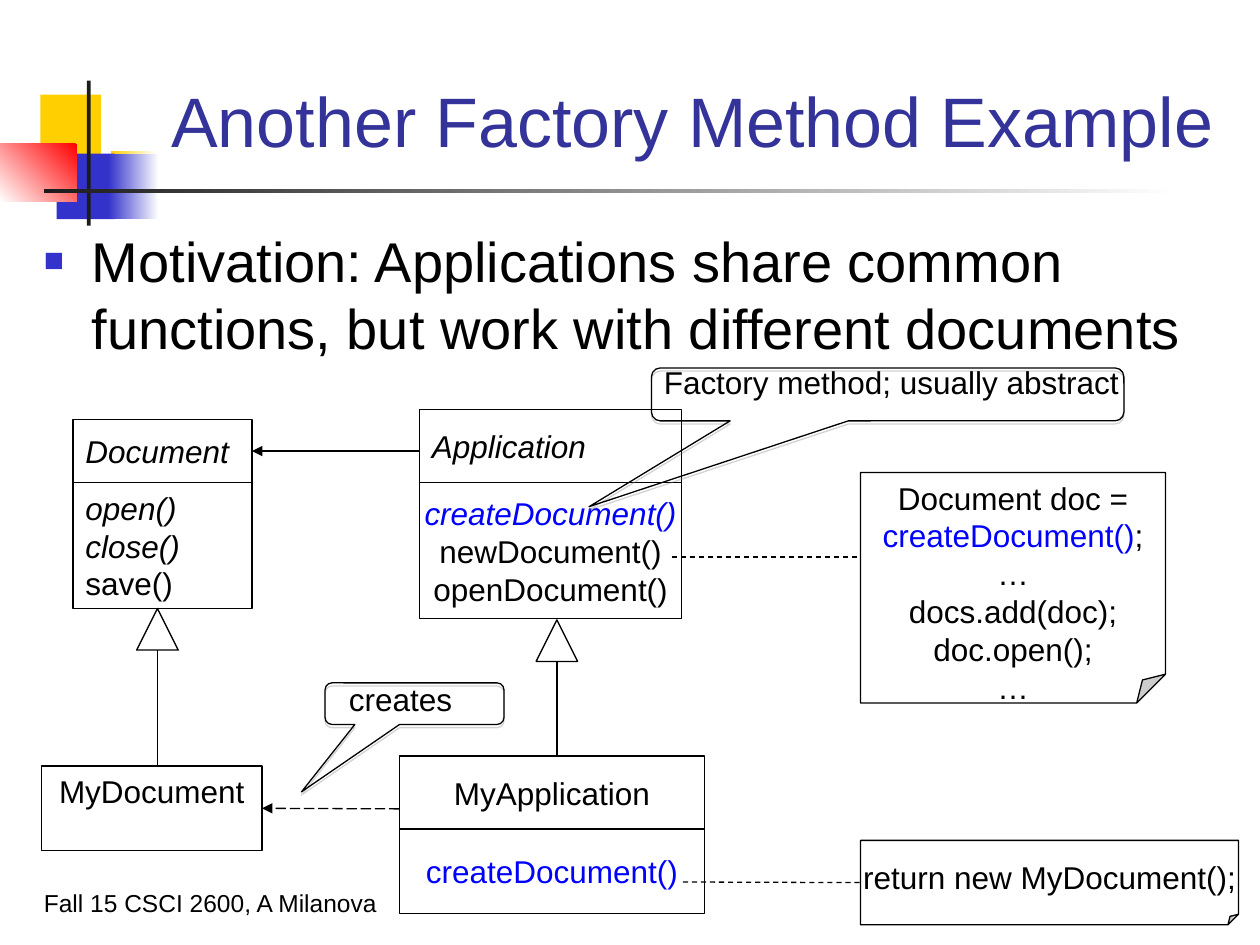
from dataclasses import dataclass

from lxml.etree import SubElement
from pptx import Presentation
from pptx.dml.color import RGBColor
from pptx.enum.dml import MSO_LINE
from pptx.enum.shapes import MSO_CONNECTOR, MSO_SHAPE
from pptx.enum.text import MSO_ANCHOR, MSO_AUTO_SIZE, PP_ALIGN
from pptx.oxml.ns import qn
from pptx.util import Inches, Pt


@dataclass(frozen=True)
class Theme:
    font: str = "Arial"
    title_size: int = 40
    body_size: int = 32
    label_size: int = 18
    footer_size: int = 14
    line_width: float = 0.75
    title: str = "333399"
    ink: str = "000000"
    paper: str = "FFFFFF"
    accent: str = "0000FF"
    blue: str = "3333CC"
    yellow: str = "FFCF01"
    red: str = "FF0000"
    rule: str = "1C1C1C"
    shadow: str = "808080"


THEME = Theme()


def rgb(value):
    return RGBColor.from_string(value)


def element(parent, tag, **attributes):
    return SubElement(parent, qn(tag), attributes)


def apply(target, formats):
    for name, value in formats.items():
        setattr(target, name, value)


def write(frame, lines, size=THEME.label_size, align=PP_ALIGN.LEFT, **formats):
    """Each line is a list of (text, colour, italic) spans."""
    apply(frame, {"word_wrap": False, "auto_size": MSO_AUTO_SIZE.NONE, **formats})
    for index, spans in enumerate(lines):
        para = frame.paragraphs[0] if index == 0 else frame.add_paragraph()
        para.alignment = align
        for text, colour, italic in spans:
            span = para.add_run()
            span.text = text
            apply(span.font, {"name": THEME.font, "size": Pt(size), "italic": italic})
            span.font.color.rgb = rgb(colour)


def plain(text, colour=THEME.ink, italic=False):
    return [(text, colour, italic)]


def add_label(page, box, text, **formats):
    label = page.shapes.add_textbox(*map(Inches, box))
    write(label.text_frame, [plain(text)], **formats)
    return label


def add_outline(page, kind, box, fill=THEME.paper):
    shape = page.shapes.add_shape(kind, *map(Inches, box))
    shape.shadow.inherit = False
    if fill:
        shape.fill.solid()
        shape.fill.fore_color.rgb = rgb(fill)
    else:
        shape.fill.background()
    shape.line.color.rgb = rgb(THEME.ink)
    shape.line.width = Pt(THEME.line_width)
    return shape


def adjust(shape, **guides):
    values = shape._element.spPr.find(".//" + qn("a:avLst"))
    values.clear()
    for name, value in guides.items():
        element(values, "a:gd", name=name, fmla=f"val {value}")


def add_compartment(page, box, lines, kind=MSO_SHAPE.RECTANGLE,
                    align=PP_ALIGN.CENTER, anchor=MSO_ANCHOR.MIDDLE):
    shape = add_outline(page, kind, box)
    write(shape.text_frame, lines, align=align, vertical_anchor=anchor)
    return shape


def add_note(page, box, lines, anchor=MSO_ANCHOR.MIDDLE):
    note = add_compartment(page, box, lines, MSO_SHAPE.FOLDED_CORNER, anchor=anchor)
    adjust(note, adj=12500)
    return note


def add_class(page, box, name_height, name, methods,
              name_align=PP_ALIGN.LEFT, methods_align=PP_ALIGN.CENTER):
    """A class box: name above, methods below; returns the name part."""
    left, top, width, height = box
    name_part = add_compartment(page, (left, top, width, name_height), [name],
                                align=name_align)
    add_compartment(page, (left, top + name_height, width, height - name_height),
                    methods, align=methods_align)
    return name_part


def add_line(page, start, end, dash=None, arrow=False, target=None, side=None):
    line = page.shapes.add_connector(MSO_CONNECTOR.STRAIGHT, *map(Inches, start + end))
    if target is not None:
        line.end_connect(target, side)
    line.line.color.rgb = rgb(THEME.ink)
    line.line.width = Pt(THEME.line_width)
    if dash:
        line.line.dash_style = dash
    if arrow:
        element(line.line._get_or_add_ln(), "a:tailEnd", type="triangle")
    element(line._element.spPr, "a:effectLst")


def add_inheritance(page, centre, top, bottom):
    size = 0.33
    add_line(page, (centre, top), (centre, bottom))
    add_outline(page, MSO_SHAPE.ISOSCELES_TRIANGLE, (centre - size / 2, top, size, size))


def add_callout(page, box, label_box, text):
    callout = add_outline(page, MSO_SHAPE.ROUNDED_RECTANGULAR_CALLOUT, box, fill=None)
    adjust(callout, adj1=-63200, adj2=212200, adj3=16700)
    effects = callout._element.spPr.find(qn("a:effectLst"))
    shadow = element(effects, "a:outerShdw", blurRad="0", dist=str(Pt(1.8)),
                     dir="5400000", rotWithShape="0")
    element(element(shadow, "a:srgbClr", val=THEME.shadow), "a:alpha", val="35000")
    add_label(page, label_box, text)


def add_ornament(page, box):
    """Coloured blocks and the fading rule beside the title."""
    left, top = box[:2]
    blocks = [  # offset and size, colours, angle
        ((0.32, 0.11, 0.48, 0.52), [THEME.yellow], 0),
        ((0.88, 0.56, 0.36, 0.52), [THEME.paper, THEME.yellow], 180),
        ((0.45, 0.58, 0.46, 0.52), [THEME.blue], 0),
        ((0.86, 0.58, 0.4, 0.52), [THEME.paper, THEME.blue], 180),
        ((0, 0.5, 0.61, 0.46), [THEME.red, THEME.paper], 225),
        ((0.69, 0, 0.03, 1.15), [THEME.rule], 0),
        ((0.35, 0.86, 9, 0.03), [THEME.paper, THEME.rule], 180),
    ]
    for (x, y, *size), colours, angle in blocks:
        block = add_outline(page, MSO_SHAPE.RECTANGLE, (left + x, top + y, *size), colours[0])
        block.line.fill.background()
        if len(colours) > 1:
            block.fill.gradient()
            block.fill.gradient_angle = angle
            for stop, colour, position in zip(block.fill.gradient_stops, colours, (0, 1)):
                stop.color.rgb = rgb(colour)
                stop.position = position


def add_title(page, box, text):
    title = page.shapes.title
    apply(title, dict(zip(("left", "top", "width", "height"), map(Inches, box))))
    write(title.text_frame, [plain(text, THEME.title)], THEME.title_size,
          word_wrap=True, vertical_anchor=MSO_ANCHOR.BOTTOM)


def add_motivation(page, box, text):
    body = add_label(page, box, text, size=THEME.body_size, word_wrap=True)
    properties = body.text_frame.paragraphs[0]._p.get_or_add_pPr()
    properties.set("marL", str(Inches(0.38)))
    properties.set("indent", str(Inches(-0.38)))
    element(element(properties, "a:buClr"), "a:srgbClr", val=THEME.blue)
    element(properties, "a:buSzPct", val="60000")
    element(properties, "a:buFont", typeface=THEME.font)
    element(properties, "a:buChar", char="■")


def add_diagram(page, box):
    """Class diagram with notes and callouts."""
    left, top = box[:2]

    def place(x, y, *size):
        return (left + x, top + y) + size

    # Classes
    create = "createDocument()"
    document = add_class(
        page, place(0.25, 0.5, 1.42, 1.5), 0.5, plain("Document", italic=True),
        [plain("open()", italic=True), plain("close()", italic=True), plain("save()")],
        methods_align=PP_ALIGN.LEFT)
    add_class(page, place(3, 0.42, 2.08, 1.66), 0.58, plain("Application", italic=True),
              [plain(create, THEME.accent, True), plain("newDocument()"), plain("openDocument()")])
    my_document = add_compartment(page, place(0, 3.25, 1.75, 0.67), [plain("MyDocument")],
                                  anchor=MSO_ANCHOR.TOP)
    add_class(page, place(2.84, 3.17, 2.42, 1.25), 0.58, plain("MyApplication"),
              [plain(create, THEME.accent)], name_align=PP_ALIGN.CENTER)
    # Notes
    code = [plain("Document doc ="), plain(create, THEME.accent) + plain(";"),
            *map(plain, ("…", "docs.add(doc);", "doc.open();", "…"))]
    add_note(page, place(6.5, 0.92, 2.42, 1.83), code, MSO_ANCHOR.TOP)
    result = add_note(page, place(6.5, 3.84, 3, 0.67), [plain("return new MyDocument();")])
    # Relations
    add_inheritance(page, left + 0.92, top + 2, top + 3.25)
    add_inheritance(page, left + 4.09, top + 2.09, top + 3.17)
    add_line(page, place(5.09, 4.17), place(6.5, 4.17), MSO_LINE.DASH, target=result, side=1)
    add_line(page, place(5, 1.59), place(6.5, 1.59), MSO_LINE.DASH)
    add_line(page, place(2.84, 3.59), place(1.75, 3.59), MSO_LINE.LONG_DASH, True, my_document, 3)
    add_line(page, place(3, 0.75), place(1.67, 0.75), None, True, document, 3)
    # Callouts
    add_callout(page, place(4.84, 0.09, 3.75, 0.42), place(4.84, 0, 3.81, 0.4),
                "Factory method; usually abstract")
    add_callout(page, place(2.25, 2.59, 1.42, 0.33), place(2.34, 2.52, 1.02, 0.4), "creates")


deck = Presentation()
deck.slide_width, deck.slide_height = Inches(10), Inches(7.5)
slide = deck.slides.add_slide(deck.slide_layouts[5])
add_ornament(slide, (0, 0.64, 9.35, 1.15))
add_title(slide, (1.26, 0.23, 8.52, 1.1), "Another Factory Method Example")
add_motivation(slide, (0.25, 1.75, 9.54, 1.15), "Motivation: Applications share common "
               "functions, but work with different documents")
add_label(slide, (0.25, 6.83, 5.17, 0.5), "Fall 15 CSCI 2600, A Milanova",
          size=THEME.footer_size, vertical_anchor=MSO_ANCHOR.BOTTOM)
add_diagram(slide, (0.33, 2.83, 9.5, 4.51))
deck.save("out.pptx")
